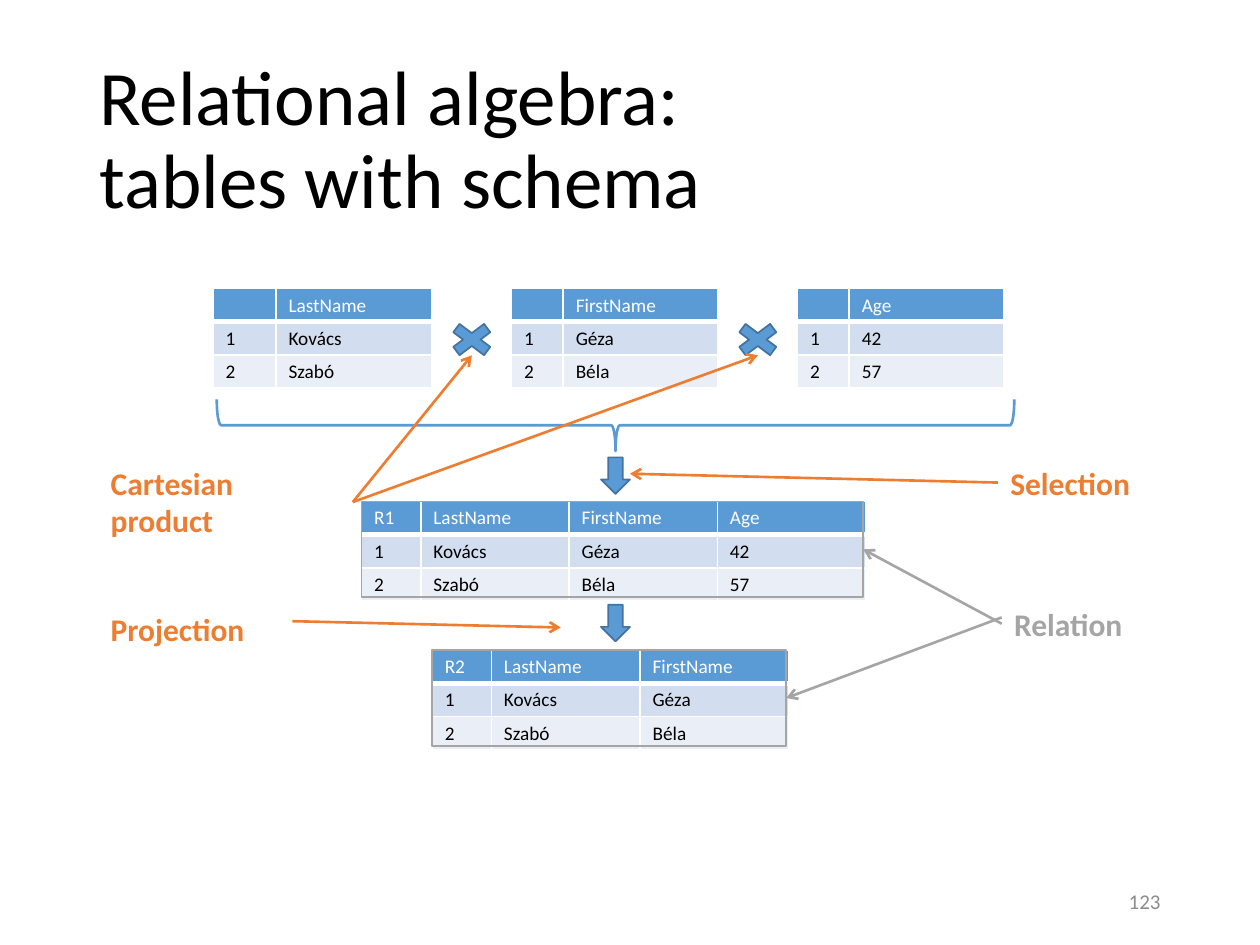
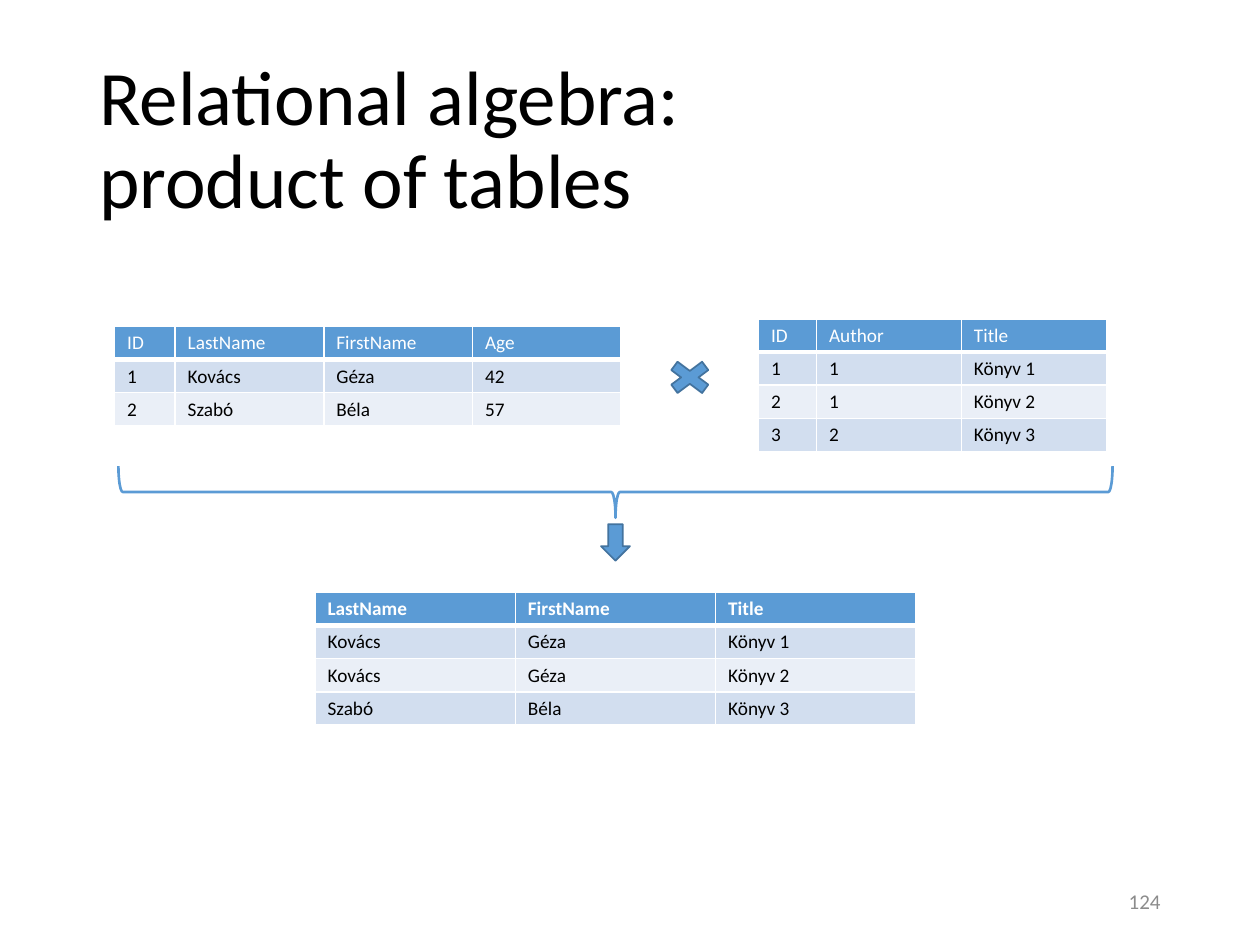
from dataclasses import dataclass

from lxml.etree import SubElement
from pptx import Presentation
from pptx.dml.color import RGBColor
from pptx.enum.shapes import MSO_CONNECTOR, MSO_SHAPE
from pptx.enum.text import MSO_ANCHOR, PP_ALIGN
from pptx.oxml.ns import qn
from pptx.util import Inches, Pt

SLIDE_WIDTH, SLIDE_HEIGHT = Inches(10), Inches(7.5)
COLUMNS = 100
UNIT = SLIDE_WIDTH / COLUMNS
FONT = "Calibri"
BLUE, DARK_BLUE = "5B9BD5", "43739E"
BANDS = ("D2DEEF", "EAEFF7")
ORANGE, GRAY, NUMBER_GRAY = "ED7D31", "A5A5A5", "8C8C8C"
BLACK, WHITE = "000000", "FFFFFF"
ROW = 2.6
TABLE_GAP = 6.3
AXIS = 48.85


@dataclass
class Box:
    """A rectangle in grid units."""
    left: float
    top: float
    width: float
    height: float

    @property
    def right(self):
        """Return the right edge."""
        return self.left + self.width

    @property
    def bottom(self):
        """Return the lower edge."""
        return self.top + self.height

    @property
    def middle(self):
        """Return the vertical middle."""
        return self.top + self.height / 2

    def emu(self):
        """Return the four lengths for python-pptx."""
        return [grid(v) for v in (self.left, self.top, self.width, self.height)]


def grid(units):
    """Turn grid units into a slide length."""
    return round(units * UNIT)


def color(hex_code):
    """Turn a hex string into a colour."""
    return RGBColor.from_string(hex_code)


def write(frame, text, size=18, ink=BLACK, bold=False, align=None, spacing=None):
    """Put formatted text in the first paragraph of a frame."""
    paragraph = frame.paragraphs[0]
    paragraph.text = text
    if align is not None:
        paragraph.alignment = align
    if spacing:
        paragraph.line_spacing = spacing
    for run in paragraph.runs:
        run.font.name, run.font.size, run.font.bold = FONT, Pt(size), bold
        run.font.color.rgb = color(ink)
    if not text:
        SubElement(paragraph._p, qn("a:endParaRPr"), sz=str(size * 100))


def add_label(slide, box, text, wrap=True, anchor=MSO_ANCHOR.TOP, **style):
    """Place a text box."""
    label = slide.shapes.add_textbox(*box.emu())
    label.text_frame.word_wrap = wrap
    label.text_frame.vertical_anchor = anchor
    write(label.text_frame, text, **style)
    return label


def add_figure(slide, preset, box, fill=BLUE, line=DARK_BLUE, weight=1):
    """Place a preset shape."""
    figure = slide.shapes.add_shape(preset, *box.emu())
    figure.shadow.inherit = False
    if fill:
        figure.fill.solid()
        figure.fill.fore_color.rgb = color(fill)
    else:
        figure.fill.background()
    figure.line.color.rgb = color(line)
    figure.line.width = Pt(weight)
    return figure


def add_pointer(slide, start, end, ink, source=None, target=None):
    """Draw an arrow, joined to (shape, side) pairs where given."""
    pointer = slide.shapes.add_connector(
        MSO_CONNECTOR.STRAIGHT, *[grid(v) for v in (*start, *end)])
    if source:
        pointer.begin_connect(*source)
    if target:
        pointer.end_connect(*target)
    pointer.line.color.rgb = color(ink)
    pointer.line.width = Pt(1.5)
    SubElement(pointer.line._get_or_add_ln(), qn("a:tailEnd"), type="arrow")
    SubElement(pointer._element.spPr, qn("a:effectLst"))


def add_borders(cell, header):
    """Draw white cell borders, thicker below the header."""
    properties = cell._tc.get_or_add_tcPr()
    for side in "LRTB":
        weight = 3 if header and side == "B" else 1
        line = SubElement(properties, qn(f"a:ln{side}"), w=str(Pt(weight)))
        SubElement(SubElement(line, qn("a:solidFill")), qn("a:srgbClr"), val=WHITE)


def add_relation(slide, left, top, widths, rows, bold_header=False):
    """Place a banded table and return its box."""
    box = Box(left, top, sum(widths), ROW * len(rows))
    relation = slide.shapes.add_table(len(rows), len(widths), *box.emu()).table
    relation.horz_banding = False
    for column, width in zip(relation.columns, widths):
        column.width = grid(width)
    for r, values in enumerate(rows):
        relation.rows[r].height = grid(ROW)
        header = r == 0
        for c, value in enumerate(values):
            cell = relation.cell(r, c)
            cell.margin_left = cell.margin_right = Inches(0.1)
            cell.margin_top = cell.margin_bottom = Inches(0.04)
            add_borders(cell, header)
            cell.fill.solid()
            cell.fill.fore_color.rgb = color(BLUE if header else BANDS[(r - 1) % 2])
            write(cell.text_frame, value, size=11, ink=WHITE if header else BLACK,
                  bold=header and bold_header)
    return box


def add_product_sign(slide, first, second):
    """Place a multiplication sign between two tables."""
    center = (first.right + second.left) / 2
    box = Box(center - 2.35, first.middle - 1.6, 4.7, 3.5)
    add_figure(slide, MSO_SHAPE.MATH_MULTIPLY, box)
    return center, box.bottom - 0.5


def add_down_arrow(slide, top):
    """Place a down arrow on the diagram's axis."""
    box = Box(AXIS - 1.15, top, 2.3, 2.9)
    add_figure(slide, MSO_SHAPE.DOWN_ARROW, box)
    return box


def add_brace(slide, top, span):
    """Place a brace opening upwards and the arrow below it."""
    depth = 4.1
    box = Box(AXIS - depth / 2, top + depth / 2 - span / 2, depth, span)
    brace = add_figure(slide, MSO_SHAPE.RIGHT_BRACE, box, fill=None, line=BLUE, weight=1.5)
    brace.rotation = 90
    return add_down_arrow(slide, top + depth + 0.5)


def add_frame(slide, box):
    """Outline a table in gray."""
    outline = Box(box.left, box.top, box.width - 0.2, box.height - 0.2)
    return add_figure(slide, MSO_SHAPE.RECTANGLE, outline, fill=None, line=GRAY)


def start_slide(deck, title, number):
    """Add a blank slide with its title and number."""
    slide = deck.slides.add_slide(deck.slide_layouts[6])
    add_label(slide, Box(6.9, 4, 86.2, 14.5), title, anchor=MSO_ANCHOR.MIDDLE,
              size=44, spacing=0.9)
    add_label(slide, Box(70.6, 69.5, 22.5, 4), number, anchor=MSO_ANCHOR.MIDDLE,
              size=12, ink=NUMBER_GRAY, align=PP_ALIGN.RIGHT)
    return slide


def add_operation_notes(slide, signs, selection_arrow):
    """Name the operations and point at their symbols."""
    style = dict(ink=ORANGE, bold=True)
    cartesian = add_label(slide, Box(7.8, 36.3, 20.2, 7.1), "Cartesian product", **style)
    for sign in signs:
        add_pointer(slide, (28, 39.9), sign, ORANGE, source=(cartesian, 3))
    selection = add_label(slide, Box(79.2, 36.3, 11.6, 4), "Selection", wrap=False, **style)
    add_pointer(slide, (79.2, 38.3), (selection_arrow.right, selection_arrow.middle - 0.15),
                ORANGE, source=(selection, 1))
    add_label(slide, Box(7.8, 47.9, 12.7, 4), "Projection", wrap=False, **style)
    add_pointer(slide, (23.2, 49.3), (44.5, 49.8), ORANGE)


def add_relation_note(slide, first, second):
    """Outline the two result tables and name them."""
    box = Box(79.5, 47.5, 10.7, 4)
    relation = add_label(slide, box, "Relation", wrap=False, ink=GRAY, bold=True)
    start = (box.left, box.middle)
    add_pointer(slide, start, (first.right, first.middle), GRAY,
                source=(relation, 1), target=(add_frame(slide, first), 3))
    add_pointer(slide, (box.left, box.middle - 0.5), (second.right, second.middle), GRAY,
                target=(add_frame(slide, second), 3))


def build_schema_slide(deck, people):
    """Show tables with a schema and the operations on them."""
    slide = start_slide(deck, "Relational algebra:\ntables with schema", "123")
    header, *records = people
    operands, left = [], 16.9
    for c, widths in enumerate([(5, 12.4), (4.1, 12.3), (4.1, 12.3)], start=1):
        rows = [("", header[c])] + [(record[0], record[c]) for record in records]
        operands.append(add_relation(slide, left, 22.9, widths, rows))
        left = operands[-1].right + TABLE_GAP
    signs = [add_product_sign(slide, *pair) for pair in zip(operands, operands[1:])]
    selection_arrow = add_brace(slide, 31.7, 63.3)

    selected = add_relation(slide, 28.7, 39.8, [4.7] + [11.77] * 3,
                            [("R1", *header[1:]), *records])
    add_down_arrow(slide, selected.bottom + 0.4)
    projected = add_relation(slide, 34.3, 51.6, [4.7] + [11.8] * 2,
                             [("R2", *header[1:3])] + [record[:3] for record in records])
    add_operation_notes(slide, signs, selection_arrow)
    add_relation_note(slide, selected, projected)


def build_product_slide(deck, people, books):
    """Show the product of two tables."""
    slide = start_slide(deck, "Relational algebra:\nproduct of tables", "124")
    persons = add_relation(slide, 9.1, 25.9, [4.8] + [11.8] * 3, people)
    titles = add_relation(slide, 60.2, 25.3, [4.6] + [11.5] * 2, books)
    add_product_sign(slide, persons, titles)
    add_brace(slide, 37, 78.9)
    names = {person[0]: person[1:3] for person in people[1:]}
    joined = [(*people[0][1:3], books[0][2])]
    joined += [(*names[author], title) for _, author, title in books[1:]]
    add_relation(slide, 25, 47, [15.9] * 3, joined, bold_header=True)


def main():
    """Build and save the deck."""
    people = [("ID", "LastName", "FirstName", "Age"),
              ("1", "Kovács", "Géza", "42"),
              ("2", "Szabó", "Béla", "57")]
    books = [("ID", "Author", "Title"),
             ("1", "1", "Könyv 1"),
             ("2", "1", "Könyv 2"),
             ("3", "2", "Könyv 3")]
    deck = Presentation()
    deck.slide_width, deck.slide_height = SLIDE_WIDTH, SLIDE_HEIGHT
    build_schema_slide(deck, people)
    build_product_slide(deck, people, books)
    deck.save("out.pptx")


if __name__ == "__main__":
    main()
